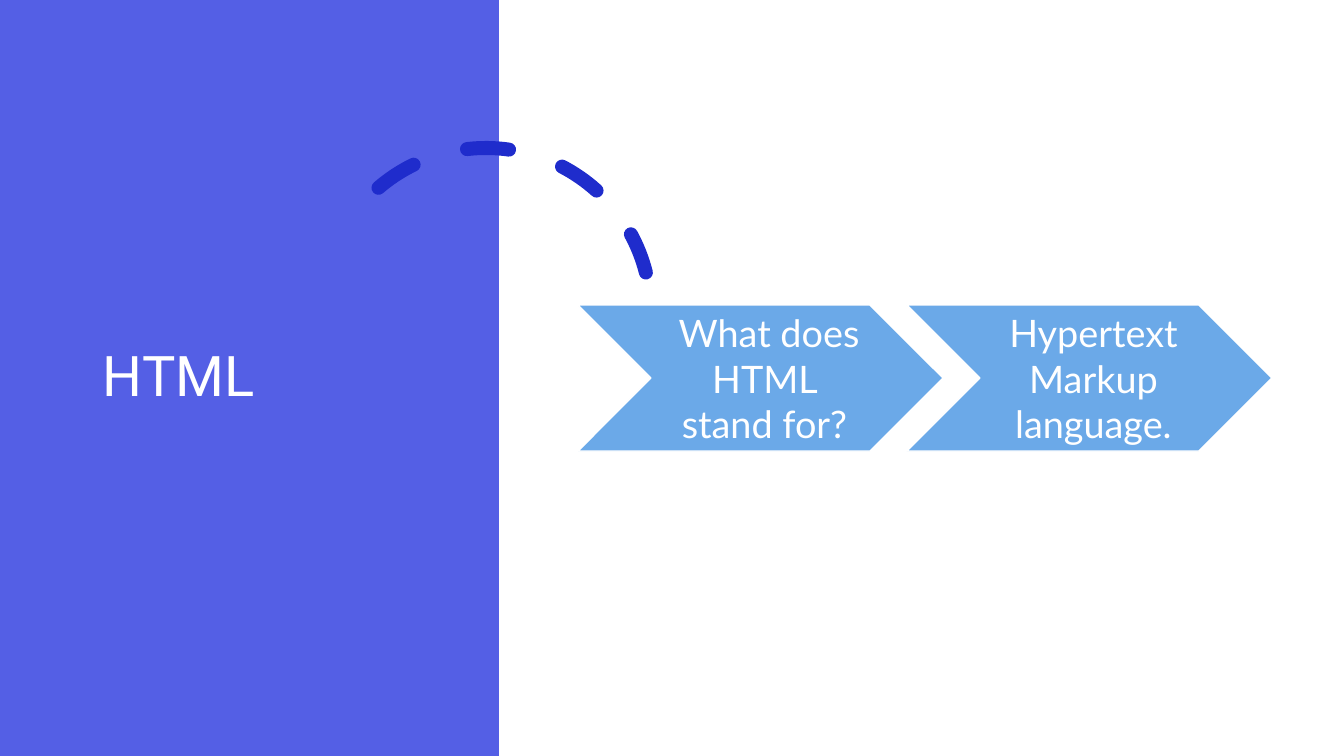
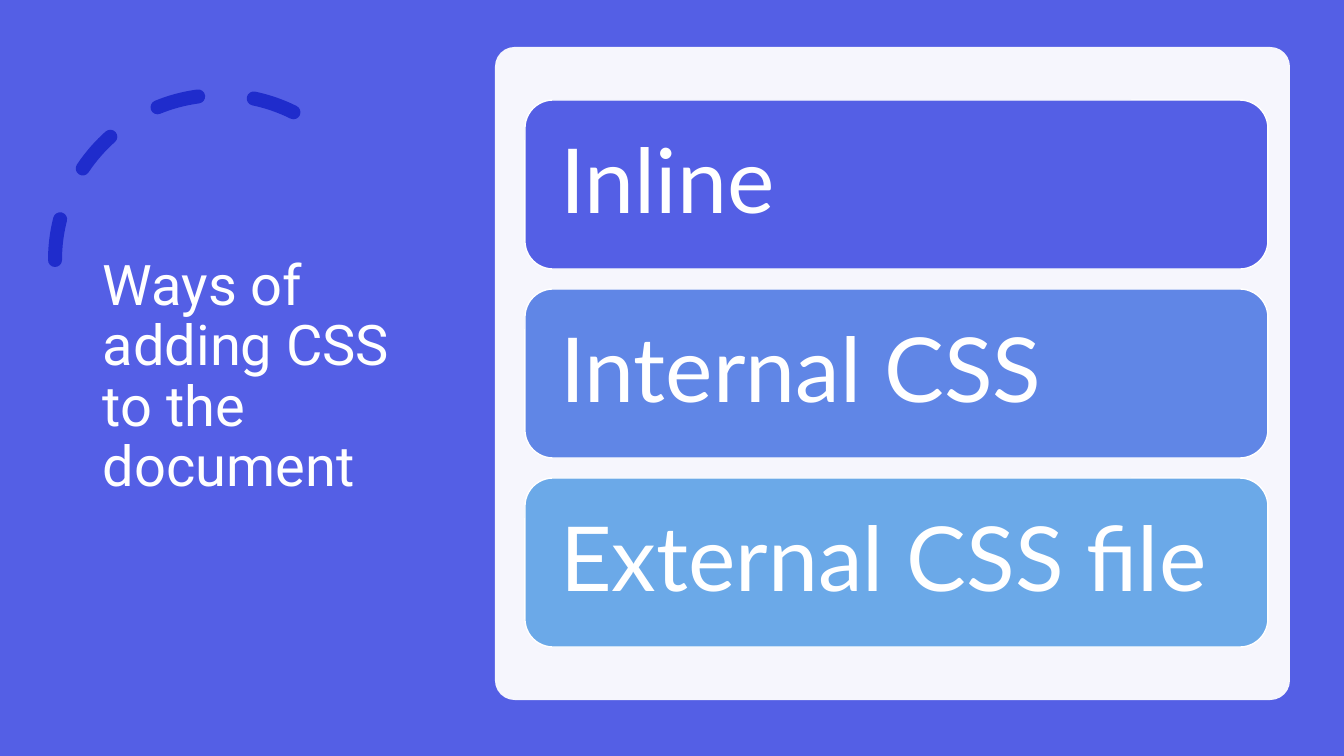
import pptx
import pptx.dml.color
import pptx.enum.shapes
import pptx.enum.text
import pptx.oxml
import pptx.oxml.ns
import pptx.util

RGBColor = pptx.dml.color.RGBColor
SHAPE = pptx.enum.shapes.MSO_SHAPE
ALIGN = pptx.enum.text.PP_ALIGN
ANCHOR = pptx.enum.text.MSO_ANCHOR

WHITE = RGBColor(0xFF, 0xFF, 0xFF)
INDIGO = RGBColor(0x54, 0x5F, 0xE5)
NAVY = RGBColor(0x1F, 0x2C, 0xCC)
BLUE = RGBColor(0x60, 0x86, 0xE6)
SKY = RGBColor(0x6B, 0xA9, 0xE8)

TITLE_FONT = "Roboto"
BODY_FONT = "Lato"
PAGE_WIDTH, PAGE_HEIGHT = 1344, 756


def px(length):
    return pptx.util.Emu(round(length * 914400 / 100.8))


def write_text(shape, text, *, font, size, align=ALIGN.LEFT, spacing=1.0, insets=(10, 5, 10, 5)):
    """Fill the shape with one white paragraph, centred vertically."""
    frame = shape.text_frame
    frame.word_wrap = True
    frame.vertical_anchor = ANCHOR.MIDDLE
    frame.margin_left, frame.margin_top, frame.margin_right, frame.margin_bottom = map(px, insets)
    para = frame.paragraphs[0]
    para.alignment = align
    para.line_spacing = spacing
    span = para.add_run()
    span.text = text
    span.font.name = font
    span.font.size = pptx.util.Pt(size)
    span.font.color.rgb = WHITE


class Deck:
    def __init__(self):
        self.file = pptx.Presentation()
        self.file.slide_width = px(PAGE_WIDTH)
        self.file.slide_height = px(PAGE_HEIGHT)
        self.page = None

    def add_page(self, background):
        self.page = self.file.slides.add_slide(self.file.slide_layouts[6])
        fill = self.page.background.fill
        fill.solid()
        fill.fore_color.rgb = background

    def add_shape(self, kind, left, top, width, height, *, fill=None, line=None, line_width=1):
        shape = self.page.shapes.add_shape(kind, px(left), px(top), px(width), px(height))
        shape.shadow.inherit = False
        if fill is None:
            shape.fill.background()
        else:
            shape.fill.solid()
            shape.fill.fore_color.rgb = fill
        if line is None:
            shape.line.fill.background()
        else:
            shape.line.color.rgb = line
            shape.line.width = pptx.util.Pt(line_width)
        return shape

    def add_title(self, text):
        box = self.page.shapes.add_textbox(px(93), px(71), px(326), px(614))
        write_text(box, text, font=TITLE_FONT, size=40, spacing=0.9)

    def add_dashed_arc(self, left, top, *, rotation=0, mirrored=False):
        arc = self.add_shape(SHAPE.ARC, left, top, 330, 330, line=NAVY, line_width=10)
        arc.adjustments[0] = 146.13
        arc.adjustments[1] = 0
        arc.rotation = rotation
        arc.line.dash_style = pptx.enum.dml.MSO_LINE.DASH
        properties = arc.element.spPr
        properties.find(pptx.oxml.ns.qn("a:ln")).set("cap", "rnd")
        if mirrored:
            properties.find(pptx.oxml.ns.qn("a:xfrm")).set("flipH", "1")

    def add_panel(self, left, top, width, height):
        """Add a slightly see-through white card."""
        panel = self.add_shape(SHAPE.ROUNDED_RECTANGLE, left, top, width, height, fill=WHITE)
        panel.adjustments[0] = 0.03
        color = panel.element.spPr.find(".//" + pptx.oxml.ns.qn("a:srgbClr"))
        alpha = pptx.oxml.parse_xml(f'<a:alpha {pptx.oxml.ns.nsdecls("a")} val="95000"/>')
        color.append(alpha)

    def add_chevrons(self, texts, left, top, width, height, pitch):
        for index, text in enumerate(texts):
            chevron = self.add_shape(SHAPE.CHEVRON, left + index * pitch, top, width, height,
                                     fill=SKY, line=WHITE)
            write_text(chevron, text, font=BODY_FONT, size=27, align=ALIGN.CENTER,
                       insets=(12, 4, 4, 4))

    def add_bars(self, bars, left, top, width, height, gap):
        for index, (text, fill) in enumerate(bars):
            bar = self.add_shape(SHAPE.ROUNDED_RECTANGLE, left, top + index * (height + gap),
                                 width, height, fill=fill, line=WHITE)
            write_text(bar, text, font=BODY_FONT, size=64, spacing=0.9, insets=(27, 27, 27, 27))


def build_html_page(deck):
    deck.add_page(WHITE)
    deck.add_shape(SHAPE.RECTANGLE, 0, 0, 499, PAGE_HEIGHT, fill=INDIGO)
    deck.add_dashed_arc(321, 148, rotation=345.8)
    deck.add_title("HTML")
    deck.add_chevrons([" What does HTML stand for?", "Hypertext Markup language."],
                      left=578, top=305, width=365, height=146, pitch=329)


def build_css_page(deck):
    deck.add_page(INDIGO)
    deck.add_dashed_arc(55, 95, mirrored=True)
    deck.add_title("Ways of adding CSS to the document")
    deck.add_panel(495, 47, 795, 653)
    deck.add_bars([("Inline", INDIGO), ("Internal CSS", BLUE), ("External CSS file", SKY)],
                  left=525, top=100, width=743, height=169, gap=20)


def main():
    deck = Deck()
    build_html_page(deck)
    build_css_page(deck)
    deck.file.save("out.pptx")


if __name__ == "__main__":
    main()
